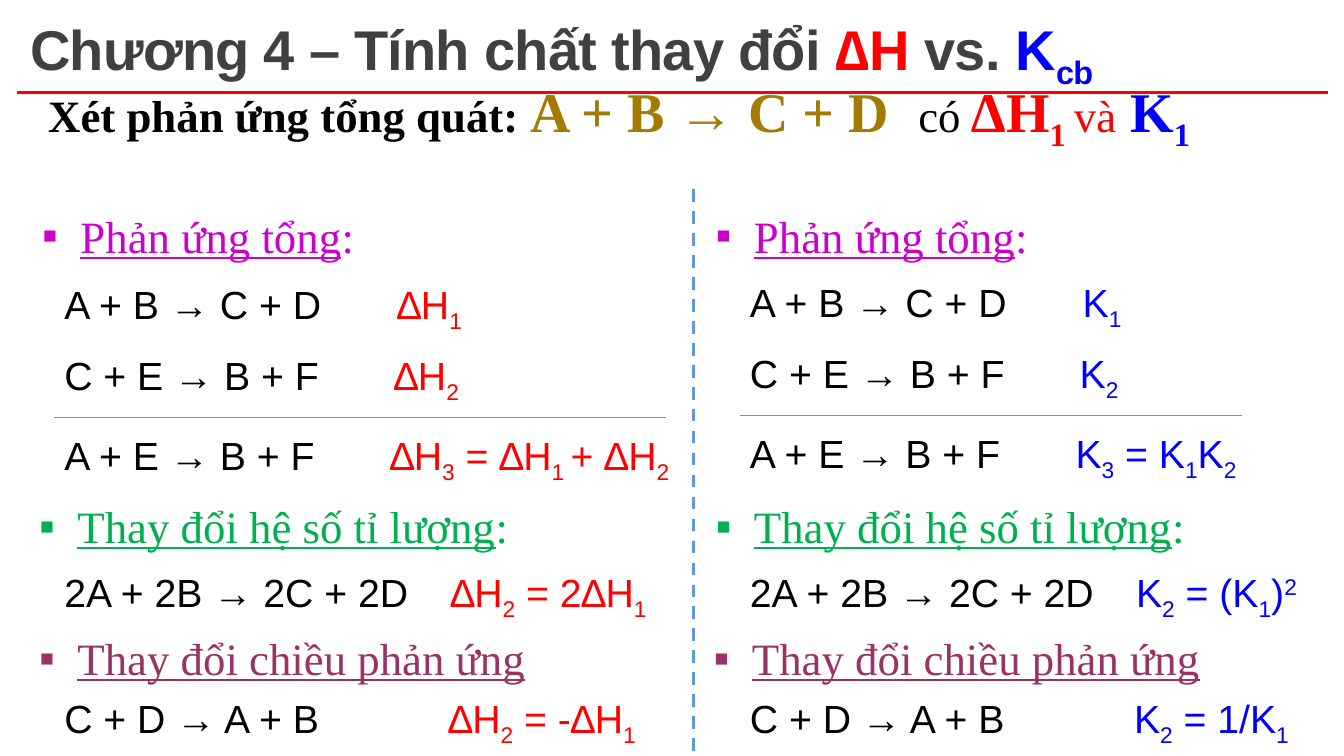
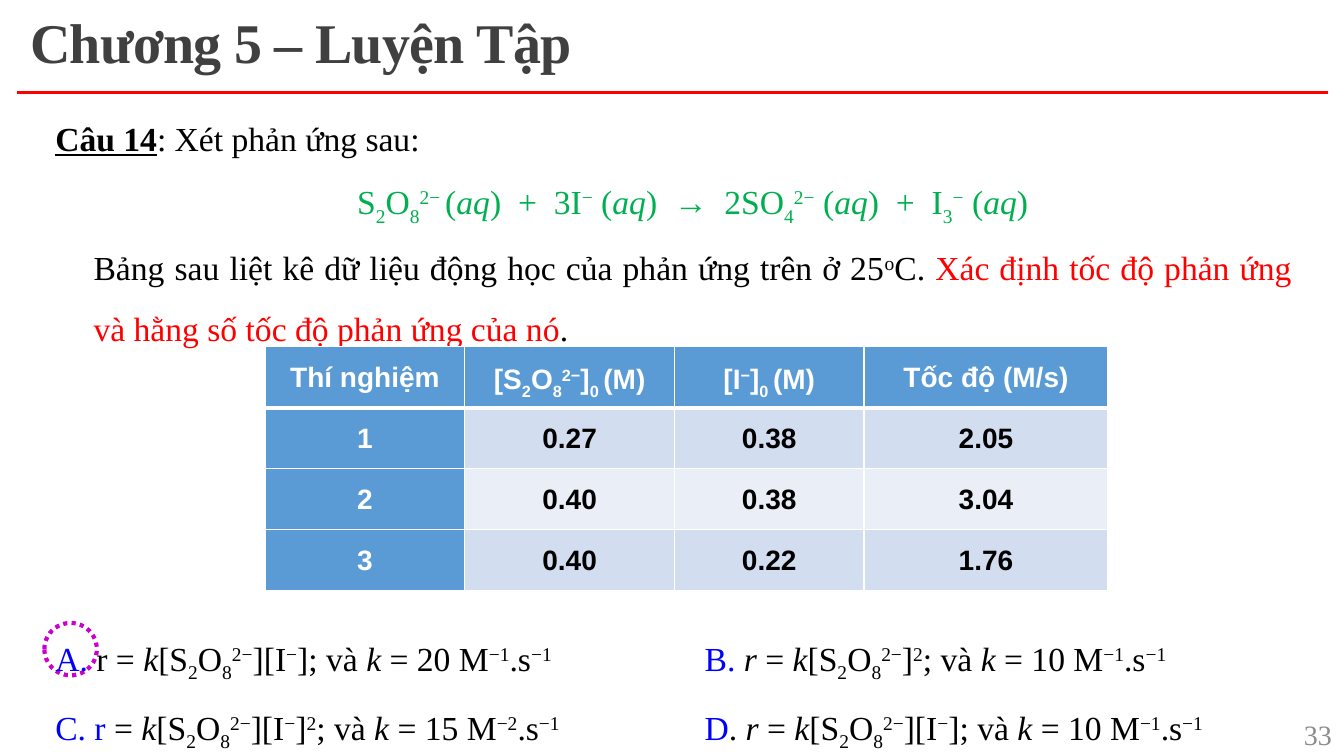
from itertools import groupby

from lxml import etree
from pptx import Presentation
from pptx import util as u
from pptx.dml.color import RGBColor
from pptx.enum import dml, shapes, text
from pptx.oxml import ns

BLACK = RGBColor(0, 0, 0)
WHITE = RGBColor(255, 255, 255)
RED = RGBColor(255, 0, 0)
BLUE = RGBColor(0, 0, 255)
DARK = RGBColor(0x40, 0x40, 0x40)
GREY = RGBColor(0x8C, 0x8C, 0x8C)
GOLD = RGBColor(0xA2, 0x7B, 0)
MAGENTA = RGBColor(0xCC, 0, 0xCC)
GREEN = RGBColor(0, 0xB0, 0x50)
PLUM = RGBColor(0x99, 0x33, 0x66)
ACCENT = RGBColor(0x5B, 0x9B, 0xD5)
BANDS = RGBColor(0xD2, 0xDE, 0xEF), RGBColor(0xEA, 0xEF, 0xF7)
SANS, SERIF = "Arial", "Times New Roman"
ALIGN = text.PP_ALIGN
MARKS = "_^*~"


def sub(parent, tag, **attrs):
    return etree.SubElement(parent, ns.qn(tag), attrs)


def split_marks(marked):
    state = dict.fromkeys(MARKS, False)
    chars = []
    for ch in marked:
        if ch in MARKS:
            state[ch] = not state[ch]
        else:
            chars.append((ch, tuple(state.values())))
    for flags, group in groupby(chars, key=lambda c: c[1]):
        yield "".join(c[0] for c in group), flags


def add_run(p, marked, size=24, font=SERIF, color=BLACK, bold=False,
            underline=False, spacing=0):
    for piece, (low, high, italic, wide) in split_marks(marked):
        r = p.add_run()
        r.text = piece
        f = r.font
        f.size, f.name, f.bold = u.Pt(size), font, bold
        f.italic, f.underline = italic, underline
        f.color.rgb = color
        rpr = r._r.get_or_add_rPr()
        if low or high:
            rpr.set("baseline", "-25000" if low else "30000")
        if spacing or wide:
            rpr.set("spc", str(600 if wide else int(spacing * 100)))


def fill_paragraph(p, runs, align=ALIGN.LEFT, line=1.0, margin=0, indent=0,
                   bullet=None, tab=None, **fmt):
    p.alignment, p.line_spacing = align, line
    ppr = p._p.get_or_add_pPr()
    if margin:
        ppr.set("marL", str(u.Inches(margin)))
        ppr.set("indent", str(u.Inches(indent)))
    if bullet:
        sub(ppr, "a:buFont", typeface=SANS)
        sub(ppr, "a:buChar", char=bullet)
    if tab:
        sub(sub(ppr, "a:tabLst"), "a:tab", pos=str(u.Inches(tab)), algn="l")
    for run in runs:
        marked, extra = (run, {}) if isinstance(run, str) else run
        add_run(p, marked, **{**fmt, **extra})


def add_text(s, box, *paras, anchor=text.MSO_ANCHOR.TOP, **fmt):
    tf = s.shapes.add_textbox(*map(u.Inches, box)).text_frame
    tf.word_wrap, tf.vertical_anchor = True, anchor
    for i, (runs, extra) in enumerate(paras):
        p = tf.add_paragraph() if i else tf.paragraphs[0]
        fill_paragraph(p, runs, **{**fmt, **extra})


def ink(marked, color, **extra):
    return marked, dict(color=color, **extra)


def add_line(s, x1, y1, x2, y2, color, width, dash=None):
    c = s.shapes.add_connector(shapes.MSO_CONNECTOR.STRAIGHT,
                               *map(u.Inches, (x1, y1, x2, y2)))
    c.line.color.rgb, c.line.width = color, u.Pt(width)
    if dash:
        c.line.dash_style = dash
    sub(c._element.spPr, "a:effectLst")


def titled_slide(prs, title, font):
    s = prs.slides.add_slide(prs.slide_layouts[6])
    add_text(s, (0.2, 0.13, 12.71, 0.64), (title, {}), size=40, font=font,
             color=DARK, bold=True, line=0.85, spacing=-0.5)
    add_line(s, 0.17, 0.92, 13.17, 0.92, RED, 2.25)
    return s


RULES = [
    ("Phản ứng tổng", ":", MAGENTA, 1.91),
    ("Thay đổi hệ số tỉ lượng", ":", GREEN, 4.79),
    ("Thay đổi chiều phản ứng", "", PLUM, 6.1),
]
REACTIONS = [
    ("A + B → C + D", 2.73, 3.3),
    ("C + E → B + F", 3.44, 3.27),
    ("A + E → B + F", 4.23, 3.23),
    ("2A + 2B → 2C + 2D", 5.59, 3.83),
    ("C + D → A + B", 6.84, 3.81),
]


def rule_column(s, heading_lefts, left, sum_shift, sum_width, color, results):
    for (name, colon, hue, top), x in zip(RULES, heading_lefts):
        add_text(s, (x, top, 5.23, 0.71),
                 ([(name, dict(underline=True)), colon], {}),
                 size=32, color=hue, line=1.2, margin=0.38, indent=-0.38,
                 bullet="▪")
    for i, ((reaction, top, tab), result) in enumerate(zip(REACTIONS, results)):
        shift = sum_shift if i < 3 else 0
        add_text(s, (left, top + shift, 6.44 if left < 1 else 5.83, 0.57),
                 ([reaction + "\t", ink(result, color)], {}),
                 size=28, font=SANS, tab=tab)
    y = 4.14 + sum_shift
    add_line(s, left, y, left + sum_width, y, ACCENT, 0.5)


def properties_slide(prs):
    s = titled_slide(prs, ["Chương 4 – Tính chất thay đổi ", ink("∆H ", RED),
                           "vs. ", ink("K_cb_", BLUE)], SANS)
    big = dict(size=40, bold=True)
    add_text(s, (0.38, 0.71, 12.28, 0.71),
             ([("Xét phản ứng tổng quát: ", dict(bold=True)),
               ink("A + B → C + D\t", GOLD, **big), "có ",
               ink("∆H_1 _", RED, **big), ink("và", RED),
               ink(" K_1_", BLUE, **big)], {}),
             size=32, line=1.2, tab=8.63, anchor=text.MSO_ANCHOR.MIDDLE)
    add_line(s, 6.88, 1.88, 6.88, 7.48, ACCENT, 2.25, dml.MSO_LINE.DASH)
    rule_column(s, (0.32, 0.29, 0.29), 0.54, 0, 6.07, RED,
                ["∆H_1_", "∆H_2_", "∆H_3_ = ∆H_1 _+ ∆H_2_",
                 "∆H_2_ = 2∆H_1_", "∆H_2_ = -∆H_1_"])
    rule_column(s, (7, 7, 6.98), 7.34, -0.02, 4.98, BLUE,
                ["K_1_", "K_2_", "K_3_ = K_1_K_2_",
                 "K_2_ = (K_1_)^2^", "K_2_ = 1/K_1_"])


def style_cell(cell, fill, top, bottom):
    tcpr = cell._tc.get_or_add_tcPr()
    for side, width in (("L", 1), ("R", 1), ("T", top), ("B", bottom)):
        ln = sub(tcpr, "a:ln" + side, w=str(u.Pt(width)))
        sub(sub(ln, "a:solidFill"), "a:srgbClr", val=str(WHITE))
    cell.fill.solid()
    cell.fill.fore_color.rgb = fill
    cell.margin_left = cell.margin_right = u.Inches(0.07)
    cell.margin_top = cell.margin_bottom = 0


def data_table(s, box, widths, rows):
    table = s.shapes.add_table(len(rows), len(widths),
                               *map(u.Inches, box)).table
    for col, width in zip(table.columns, widths):
        col.width = u.Inches(width)
    for i, row in enumerate(rows):
        for j, value in enumerate(row):
            head = i == 0 or j == 0
            cell = table.cell(i, j)
            style_cell(cell, ACCENT if head else BANDS[(i - 1) % 2],
                       3 if i == 1 else 1, 3 if i == 0 else 1)
            fill_paragraph(cell.text_frame.paragraphs[0], [value],
                           align=ALIGN.CENTER, line=1.5, size=20, font=SANS,
                           bold=True, color=WHITE if head else BLACK)


def exercise_slide(prs):
    s = titled_slide(prs, ["Chương 5 – Luyện Tập"], SERIF)
    add_text(s, (12.75, 7.06, 0.56, 0.44), (["33"], {}), size=20, color=GREY,
             align=ALIGN.RIGHT, anchor=text.MSO_ANCHOR.MIDDLE)
    ring = s.shapes.add_shape(shapes.MSO_SHAPE.OVAL,
                              *map(u.Inches, (0.44, 6.18, 0.52, 0.52)))
    ring.shadow.inherit = False
    ring.fill.background()
    ring.line.color.rgb, ring.line.width = MAGENTA, u.Pt(3)
    ring.line.dash_style = dml.MSO_LINE.ROUND_DOT
    add_text(
        s, (0.45, 0.92, 12.46, 2.52),
        ([("Câu 14", dict(bold=True, underline=True)),
          ": Xét phản ứng sau:"], {}),
        (["S_2_O_8_^2− ^(*aq*)~ +~ 3I^−^ (*aq*)~ →~ "
          "2SO_4_^2−^ (*aq*)~ +~ I_3_^−^ (*aq*)"],
         dict(color=GREEN, align=ALIGN.CENTER, margin=0.6, indent=-0.22)),
        (["Bảng sau liệt kê dữ liệu động học của phản ứng trên ở 25^o^C. ",
          ink("Xác định tốc độ phản ứng và hằng số tốc độ phản ứng của nó",
              RED), "."],
         dict(align=ALIGN.JUSTIFY, margin=0.38)),
        line=1.5)
    data_table(s, (2.63, 3.44, 8.36, 2.42), (1.98, 2.08, 1.88, 2.42), [
        ("Thí nghiệm", "[S_2_O_8_^2−^]_0 _(M)", "[I^−^]_0 _(M)",
         "Tốc độ (M/s)"),
        ("1", "0.27", "0.38", "2.05"),
        ("2", "0.40", "0.38", "3.04"),
        ("3", "0.40", "0.22", "1.76"),
    ])
    law = "*k*[S_2_O_8_^2−^]"
    add_text(
        s, (0.45, 6.05, 12.71, 1.24),
        ([ink("A. ", BLUE),
          "r = " + law + "[I^−^]; và *k* = 20 M^−1^.s^−1^\t",
          ink("B. ", BLUE),
          "*r* = " + law + "^2^; và *k* = 10 M^−1^.s^−1^"], {}),
        ([ink("C. r ", BLUE),
          "= " + law + "[I^−^]^2^; và *k* = 15 M^−2^.s^−1^\t",
          ink("D", BLUE),
          ". *r* = " + law + "[I^−^]; và *k* = 10 M^−1^.s^−1^"], {}),
        line=1.5, tab=6.44)


def main():
    prs = Presentation()
    prs.slide_width, prs.slide_height = u.Inches(13.33), u.Inches(7.5)
    properties_slide(prs)
    exercise_slide(prs)
    prs.save("out.pptx")


if __name__ == "__main__":
    main()
